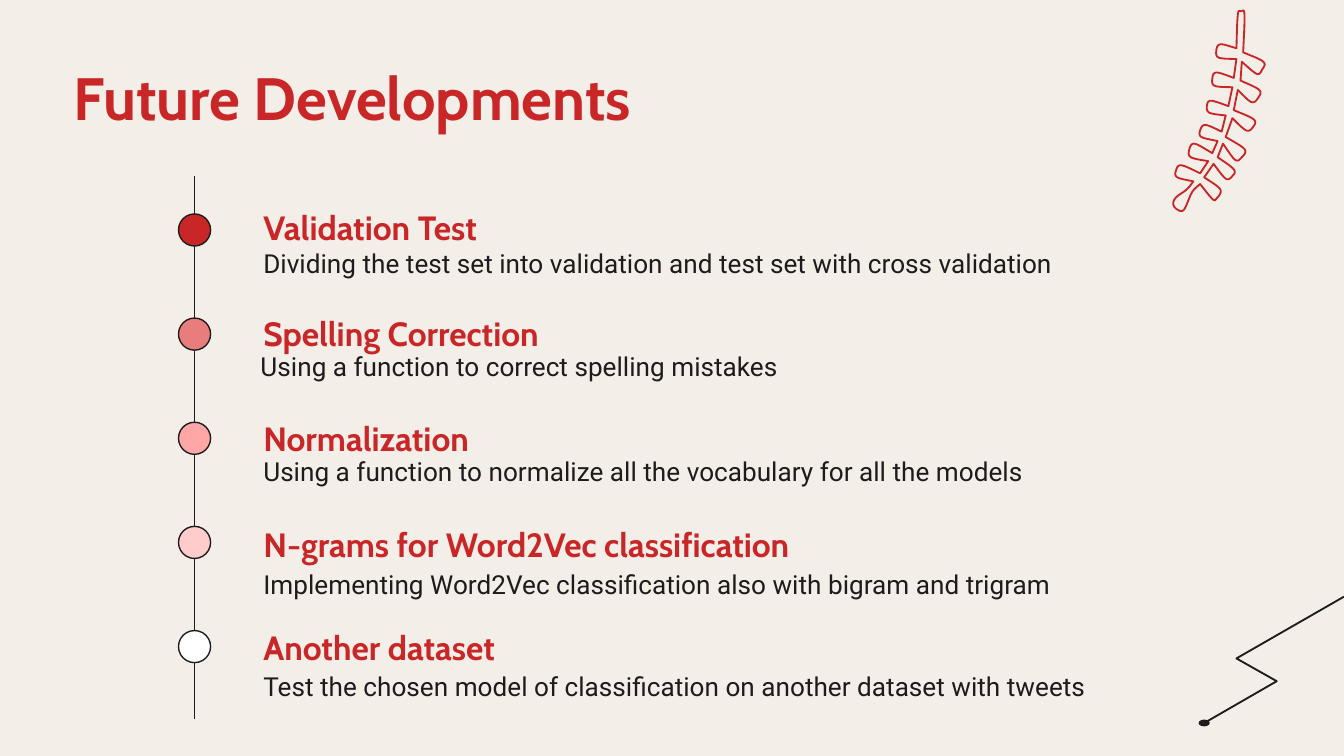
from pptx import Presentation
from pptx.dml.color import RGBColor
from pptx.enum.shapes import MSO_CONNECTOR, MSO_SHAPE
from pptx.enum.text import MSO_ANCHOR
from pptx.oxml.ns import qn
from pptx.util import Pt
from lxml import etree

OVAL = MSO_SHAPE.OVAL
STRAIGHT = MSO_CONNECTOR.STRAIGHT
TOP, MIDDLE, BOTTOM = MSO_ANCHOR.TOP, MSO_ANCHOR.MIDDLE, MSO_ANCHOR.BOTTOM
RED, INK, CREAM = "C92727", "1E1B1C", "F4EEE9"

TITLE = "Future Developments"
# heading, heading top, description, description left and top, dot colour
STEPS = [
    ("Validation Test", 101.5,
     "Dividing the test set into validation and test set with cross validation",
     134, 125.3, "C92727"),
    ("Spelling Correction", 158.4,
     "Using a function to correct spelling mistakes",
     132.5, 180.7, "E97C7C"),
    ("Normalization", 214.6,
     "Using a function to normalize all the vocabulary for all the models",
     134, 236.9, "FFA6A6"),
    ("N-grams for Word2Vec classification", 271.4,
     "Implementing Word2Vec classification also with bigram and trigram",
     134, 297.4, "FFCBCB"),
    ("Another dataset", 326.2,
     "Test the chosen model of classification on another dataset with tweets",
     134, 352.1, "FFFFFF"),
]
DOT_X, DOT_Y, DOT_SIZE, DOT_STEP = 95.6, 114.6, 17.2, 55.8
SPINE_TOP, SPINE_BOTTOM = 94.3, 385.2

ZIGZAG = [(645.1, 387.4), (684, 365), (662.4, 352.8), (720, 319.7)]

# Leaf outline: each row is one smooth lobe, rows meet in sharp corners
LEAF_UNIT = 0.72
LEAF = [
    [(893, 137), (887, 143), (881, 156), (876, 156), (873, 152), (875, 147),
     (883, 141), (888, 135)],
    [(888, 135), (876, 132), (875, 127), (879, 123), (893, 129)],
    [(899, 120), (886, 117), (885, 111), (889, 107), (902, 114)],
    [(906, 105), (894, 102), (893, 97), (897, 93), (909, 98)],
    [(912, 86), (900, 84), (898, 79), (901, 75), (914, 79)],
    [(917, 65), (904, 64), (902, 59), (905, 54), (918, 58)],
    [(920, 44), (907, 43), (905, 38), (908, 33), (920, 36)],
    [(920, 36), (921, 11), (923.5, 8.5), (926, 11), (925, 39)],
    [(925, 39), (940, 46), (939, 52), (935, 55), (924, 46)],
    [(923, 60), (937, 67), (936, 73), (931, 76), (921, 67)],
    [(918, 82), (933, 89), (932, 95), (927, 97), (917, 88)],
    [(912, 102), (926, 111), (924, 117), (919, 119), (910, 107)],
    [(906, 117), (918, 126), (917, 131), (912, 133), (903, 122)],
    [(896, 132), (908, 141), (905, 148), (902, 148), (893, 137)],
]


def color(value):
    return RGBColor.from_string(value)


def style(shape, fill, line, width=0.75):
    shape.shadow.inherit = False
    if fill:
        shape.fill.solid()
        shape.fill.fore_color.rgb = color(fill)
    else:
        shape.fill.background()
    shape.line.color.rgb = color(line)
    shape.line.width = Pt(width)
    return shape


def add_text(text, x, y, w, h, font, size, ink, bold=False, anchor=TOP, inset=7.2):
    tf = s.shapes.add_textbox(Pt(x), Pt(y), Pt(w), Pt(h)).text_frame
    tf.word_wrap = True
    tf.vertical_anchor = anchor
    tf.margin_top = tf.margin_bottom = Pt(inset)
    p = tf.paragraphs[0]
    p.text = text
    p.font.name, p.font.size, p.font.bold = font, Pt(size), bold
    p.font.color.rgb = color(ink)


def add_dot(i):
    dot = s.shapes.add_shape(OVAL, Pt(DOT_X), Pt(DOT_Y + i * DOT_STEP),
                             Pt(DOT_SIZE), Pt(DOT_SIZE))
    return style(dot, STEPS[i][-1], INK)


def add_line(y1, y2, end=None):
    x = DOT_X + DOT_SIZE / 2
    c = s.shapes.add_connector(STRAIGHT, Pt(x), Pt(y1), Pt(x), Pt(y2))
    if end:
        c.end_connect(end, 0)
    c.line.color.rgb = color(INK)
    c.line.width = Pt(0.75)
    etree.SubElement(c._element.spPr, qn("a:effectLst"))


def smooth(points, steps=8):
    """Catmull-Rom curve through the points."""
    padded = [points[0], *points, points[-1]]
    curve = [points[0]]
    for a, b, c, d in zip(padded, padded[1:], padded[2:], padded[3:]):
        for k in range(1, steps + 1):
            t = k / steps
            curve.append(tuple(
                (2 * q + (r - p) * t + (2 * p - 5 * q + 4 * r - u) * t ** 2
                 + (3 * q - p - 3 * r + u) * t ** 3) / 2
                for p, q, r, u in zip(a, b, c, d)))
    return curve


def add_outline(points, close):
    pts = [(Pt(x), Pt(y)) for x, y in points]
    builder = s.shapes.build_freeform(*pts[0])
    builder.add_line_segments(pts[1:], close=close)
    return builder.convert_to_shape()


prs = Presentation()
prs.slide_width, prs.slide_height = Pt(720), Pt(405)
s = prs.slides.add_slide(prs.slide_layouts[6])
s.background.fill.solid()
s.background.fill.fore_color.rgb = color(CREAM)

# Title
add_text(TITLE, 32.4, 28.8, 607, 45.4, "Cabin", 32, RED, True, MIDDLE)

# Timeline: the first line runs behind the first dot, the last behind the last two
second, third = add_dot(1), add_dot(2)
second_top, third_top = DOT_Y + DOT_STEP, DOT_Y + 2 * DOT_STEP
add_line(SPINE_TOP, second_top, second)
add_line(second_top + DOT_SIZE, third_top, third)
add_line(third_top + DOT_SIZE, SPINE_BOTTOM)
for i in (0, 3, 4):
    add_dot(i)

# Headings and descriptions
for heading, heading_y, text, text_x, text_y, _ in STEPS:
    add_text(heading, 134, heading_y, 458.6, 31, "Cabin", 18, RED, True, BOTTOM, 0)
    add_text(text, text_x, text_y, 458.6, 31, "Roboto", 14, INK)

# Zigzag with a dot at its end
style(add_outline(ZIGZAG, False), None, INK, 1)
style(s.shapes.add_shape(OVAL, Pt(642.5), Pt(385.9), Pt(5.2), Pt(2.9)), INK, INK)

# Leaf
outline = [(x * LEAF_UNIT, y * LEAF_UNIT) for lobe in LEAF for x, y in smooth(lobe)]
style(add_outline(outline, True), CREAM, RED, 1)

prs.save("out.pptx")
